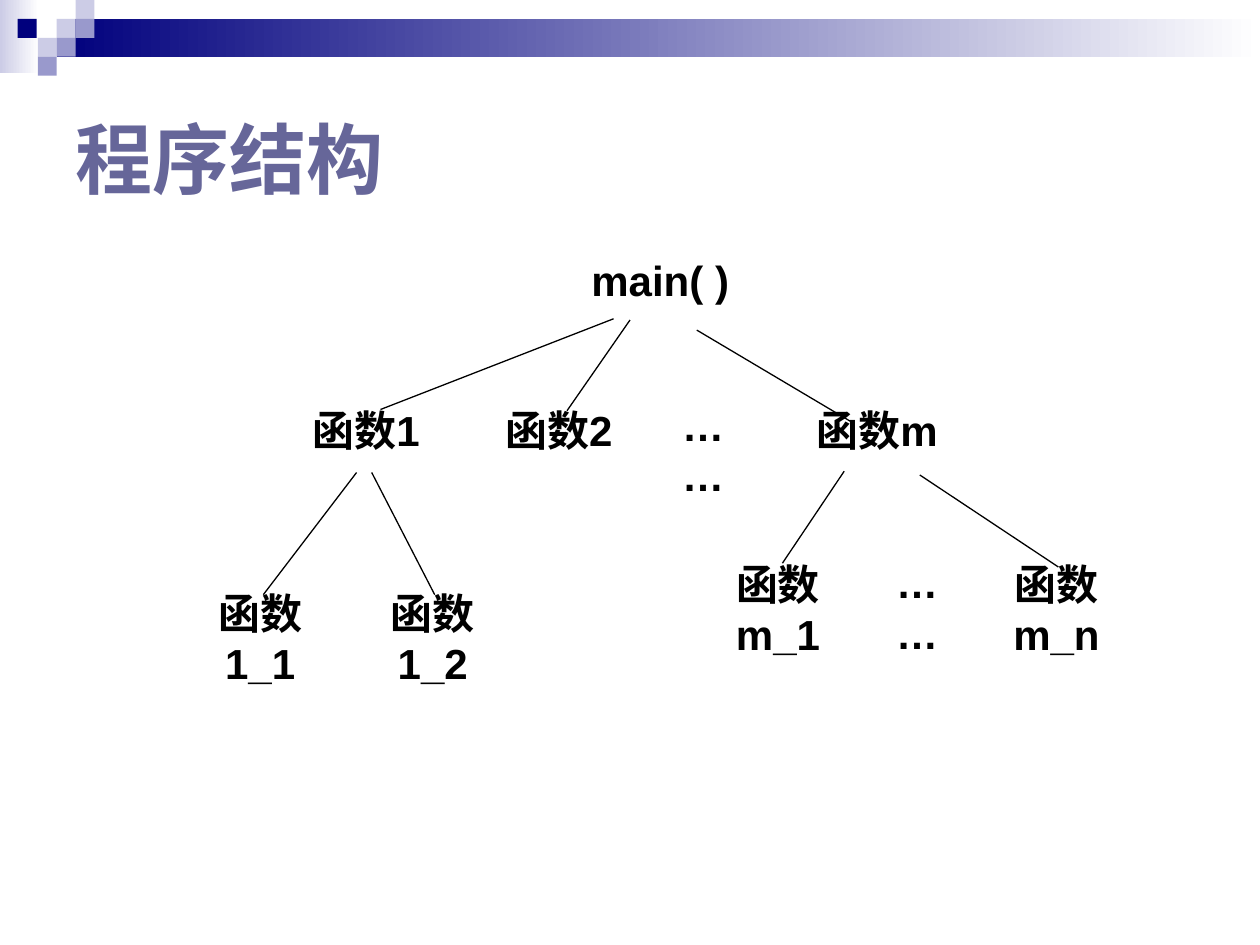
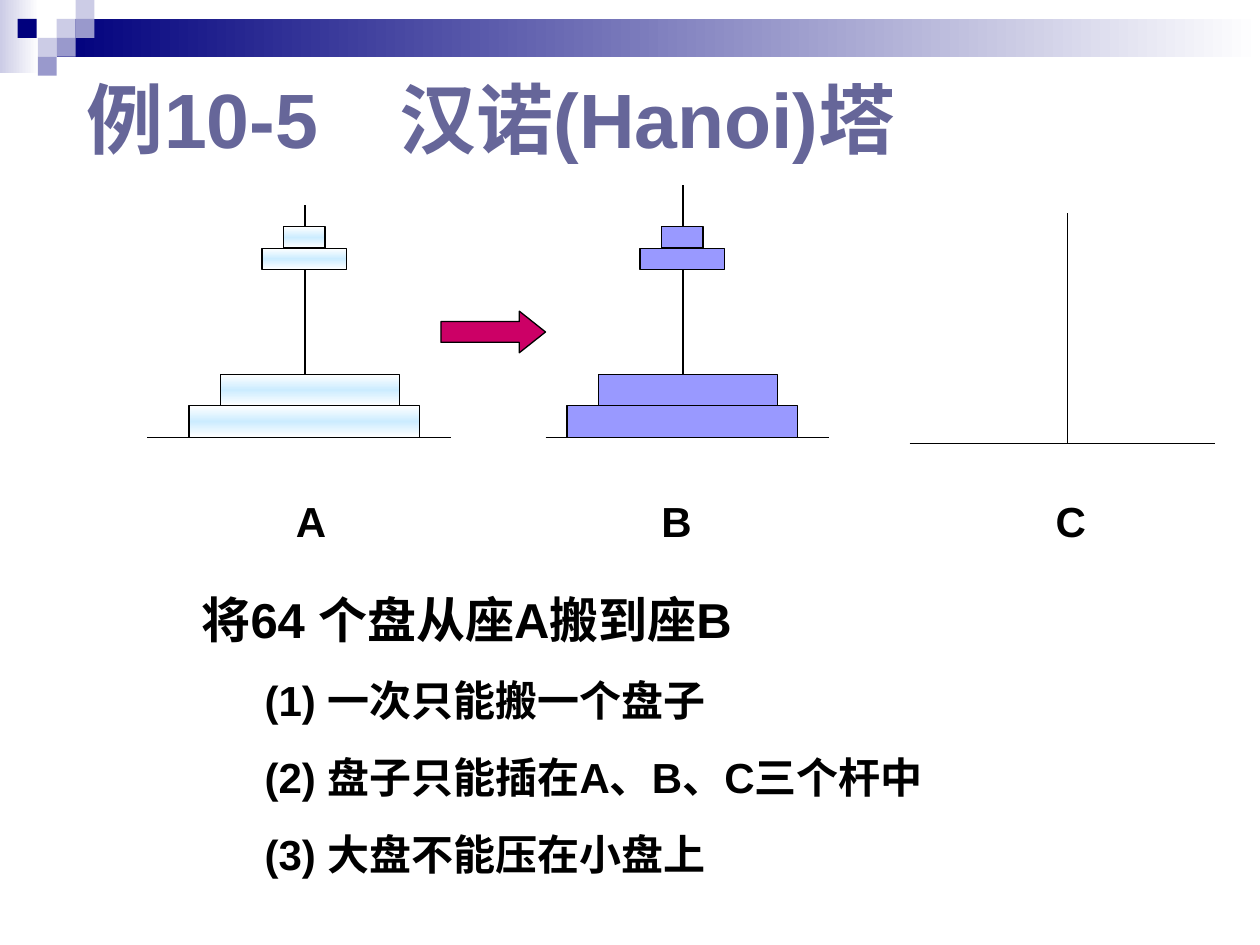
from copy import deepcopy

from lxml.etree import SubElement
from pptx import Presentation
from pptx.dml.color import RGBColor
from pptx.enum.shapes import MSO_CONNECTOR, MSO_SHAPE
from pptx.enum.text import MSO_ANCHOR, MSO_AUTO_SIZE, PP_ALIGN
from pptx.oxml.ns import qn
from pptx.util import Inches, Pt

COLORS = {
    "text": "000000",
    "title": "666699",
    "navy": "00007D",
    "lilac": "CCCCE6",
    "violet": "9999CC",
    "white": "FFFFFF",
    "sky": "CCECFF",
    "disk": "9999FF",
    "arrow": "CC0066",
}
FONT = "Arial"
COLUMNS, ROWS = 100, 75
TITLE_AND_LIST, TITLE_ONLY = 1, 5


class Deck:
    """Hold the shared style and the current slide, measured on a 100 by 75 grid."""

    def __init__(self):
        """Start a 10 by 7.5 inch presentation."""
        self.presentation = Presentation()
        self.presentation.slide_width = Inches(10)
        self.presentation.slide_height = Inches(7.5)
        self.slide = None

    def new_slide(self, layout):
        """Add a slide and make it current."""
        layouts = self.presentation.slide_layouts
        self.slide = self.presentation.slides.add_slide(layouts[layout])

    def across(self, columns):
        """Convert grid columns to a length."""
        return round(self.presentation.slide_width * columns / COLUMNS)

    def down(self, rows):
        """Convert grid rows to a length."""
        return round(self.presentation.slide_height * rows / ROWS)

    def box(self, left, top, width, height):
        """Convert a grid rectangle to lengths."""
        return self.across(left), self.down(top), self.across(width), self.down(height)

    def color(self, name):
        """Look up a named colour."""
        return RGBColor.from_string(COLORS[name])

    def paint(self, fill, names, angle=0):
        """Fill with one colour or with an even gradient of several."""
        if len(names) == 1:
            fill.solid()
            fill.fore_color.rgb = self.color(names[0])
            return
        fill.gradient()
        fill.gradient_angle = angle
        stops = fill.gradient_stops
        if len(names) == 3:
            first = stops[0]._gs
            first.addnext(deepcopy(first))
            stops = fill.gradient_stops
        for index, (stop, name) in enumerate(zip(stops, names)):
            stop.color.rgb = self.color(name)
            stop.position = index / (len(names) - 1)

    def outline(self, line):
        """Draw a thin black line."""
        line.color.rgb = self.color("text")
        line.width = Pt(0.74)

    def shape(self, area, names, kind=MSO_SHAPE.RECTANGLE, angle=0, outlined=True):
        """Add a filled preset shape."""
        shape = self.slide.shapes.add_shape(kind, *self.box(*area))
        shape.shadow.inherit = False
        self.paint(shape.fill, names, angle)
        if outlined:
            self.outline(shape.line)
        else:
            shape.line.fill.background()
        return shape

    def line(self, start_x, start_y, end_x, end_y):
        """Add a straight line without a shadow."""
        connector = self.slide.shapes.add_connector(
            MSO_CONNECTOR.STRAIGHT,
            self.across(start_x), self.down(start_y),
            self.across(end_x), self.down(end_y),
        )
        self.outline(connector.line)
        SubElement(connector.element.spPr, qn("a:effectLst"))

    def format(self, paragraph, size, color="text", align=PP_ALIGN.LEFT):
        """Apply the bold deck font to a paragraph."""
        paragraph.alignment = align
        for run in paragraph.runs:
            run.font.name = FONT
            run.font.size = Pt(size)
            run.font.bold = True
            run.font.color.rgb = self.color(color)

    def tabs(self, paragraph, positions, align):
        """Set tab stops given in grid columns from the text edge."""
        tab_list = SubElement(paragraph._p.get_or_add_pPr(), qn("a:tabLst"))
        for position in positions:
            SubElement(tab_list, qn("a:tab"), pos=str(self.across(position)), algn=align)

    def place(self, placeholder, area):
        """Move a placeholder and keep its text size fixed."""
        placeholder.left, placeholder.top, placeholder.width, placeholder.height = self.box(*area)
        placeholder.text_frame.word_wrap = True
        placeholder.text_frame.auto_size = MSO_AUTO_SIZE.NONE

    def title(self, text, area):
        """Fill the title placeholder."""
        title = self.slide.shapes.title
        self.place(title, area)
        title.text_frame.text = text
        title.text_frame.vertical_anchor = MSO_ANCHOR.MIDDLE
        paragraph = title.text_frame.paragraphs[0]
        self.format(paragraph, 44, "title")
        return paragraph

    def bullets(self, items, area):
        """Fill the body placeholder with (level, text) items without bullet marks."""
        body = self.slide.placeholders[1]
        self.place(body, area)
        frame = body.text_frame
        frame.text = "\n".join(text for level, text in items)
        styles = ((28, 17.5, 3.8, -3.8), (24, 15, 8.1, -3.1))
        for paragraph, (level, text) in zip(frame.paragraphs, items):
            size, space, margin, indent = styles[level]
            paragraph.level = level
            paragraph.space_before = Pt(space)
            self.format(paragraph, size)
            properties = paragraph._p.get_or_add_pPr()
            properties.set("marL", str(self.across(margin)))
            properties.set("indent", str(self.across(indent)))
            SubElement(properties, qn("a:buNone"))

    def label(self, text, area, align=PP_ALIGN.CENTER):
        """Add a wrapped text box."""
        frame = self.slide.shapes.add_textbox(*self.box(*area)).text_frame
        frame.word_wrap = True
        frame.text = text
        self.format(frame.paragraphs[0], 24, align=align)
        return frame.paragraphs[0]

    def master_band(self):
        """Draw the top band and its squares, then move them to the master."""
        parts = [
            ((0, 0, 3.1, 5.8), ("lilac", "white")),
            ((4.5, 1.5, 95.5, 3), ("navy", "white")),
        ]
        squares = (
            (4.5, 1.5, "lilac"), (6, 0, "lilac"), (6, 1.5, "violet"), (3, 3, "lilac"),
            (1.4, 1.5, "navy"), (4.5, 3, "violet"), (3, 4.5, "violet"),
        )
        parts += [((left, top, 1.5, 1.5), (name,)) for left, top, name in squares]
        tree = self.presentation.slide_master.element.cSld.spTree
        for index, (area, names) in enumerate(parts):
            element = self.shape(area, names, outlined=False).element
            element.nvSpPr.cNvPr.set("id", str(100 + index))
            tree.insert(2 + index, element)

    def tower(self, center, names):
        """Stack the four disks of a tower around a centre column."""
        disks = (
            (0, 32.2, 18.3, 2.5), (0.45, 29.7, 14.2, 2.5),
            (0, 19.7, 6.7, 1.7), (0, 18, 3.3, 1.7),
        )
        for offset, top, width, height in disks:
            self.shape((center + offset - width / 2, top, width, height), names, angle=90)


def structure_slide(deck):
    """Build the call tree of a program."""
    deck.new_slide(TITLE_ONLY)
    deck.master_band()
    edges = (
        (48.7, 25.3, 30.2, 32.5), (50, 25.4, 45, 32.6), (55.3, 26.2, 67.6, 33.5),
        (28.3, 37.5, 20.9, 47.2), (29.5, 37.5, 34.5, 47.2),
        (67, 37.4, 62.1, 44.7), (73, 37.7, 84, 45),
    )
    for edge in edges:
        deck.line(*edge)
    nodes = (
        ("main( )", 45, 19.7, 14.8),
        ("函数1", 22.9, 31.6, 12.3), ("函数2", 38.8, 31.6, 11.1),
        ("……", 51.5, 31.2, 8.6), ("函数m", 62.2, 31.6, 14.8),
        ("函数1_1", 14.5, 46.1, 12.3), ("函数1_2", 28.2, 46.1, 12.3),
        ("函数m_1", 55.6, 43.8, 12.3), ("函数m_n", 77.7, 43.8, 12.3),
        ("……", 68.5, 43.7, 8.6),
    )
    for text, left, top, width in nodes:
        deck.label(text, (left, top, width, 7.3))
    deck.title("程序结构", (5, 5, 35.6, 15))


def hanoi_slide(deck):
    """Build the Hanoi towers and the rules."""
    deck.new_slide(TITLE_AND_LIST)
    title = deck.title("例10-5\t汉诺(Hanoi)塔", (5.9, 5.2, 85, 8.3))
    deck.tabs(title, (24.8,), "l")
    deck.bullets(
        (
            (0, "将64 个盘从座A搬到座B"),
            (1, "(1) 一次只能搬一个盘子"),
            (1, "(2) 盘子只能插在A、B、C三个杆中"),
            (1, "(3) 大盘不能压在小盘上"),
        ),
        (15, 46.3, 65, 25.8),
    )
    pegs = (
        (11.7, 35.8, 24.2, 34.7, 16.3),
        (43.3, 65.8, 54.2, 34.7, 14.7),
        (72.2, 96.4, 84.7, 35.2, 16.9),
    )
    for left, right, center, base, top in pegs:
        deck.line(left, base, right, base)
        deck.line(center, base, center, top)
    deck.tower(24.15, ("white", "sky", "white"))
    deck.tower(54.15, ("disk",))
    arrow = deck.shape((35, 24.7, 8.3, 3.3), ("arrow",), MSO_SHAPE.RIGHT_ARROW)
    arrow.adjustments[0], arrow.adjustments[1] = 0.5, 0.63
    names = deck.label("\tA\tB\tC", (14.2, 38.8, 75.8, 5), PP_ALIGN.LEFT)
    names.space_before = Pt(15)
    deck.tabs(names, (9.5, 38.5, 69.8), "ctr")


def main():
    """Build and save the presentation."""
    deck = Deck()
    structure_slide(deck)
    hanoi_slide(deck)
    deck.presentation.save("out.pptx")


main()
